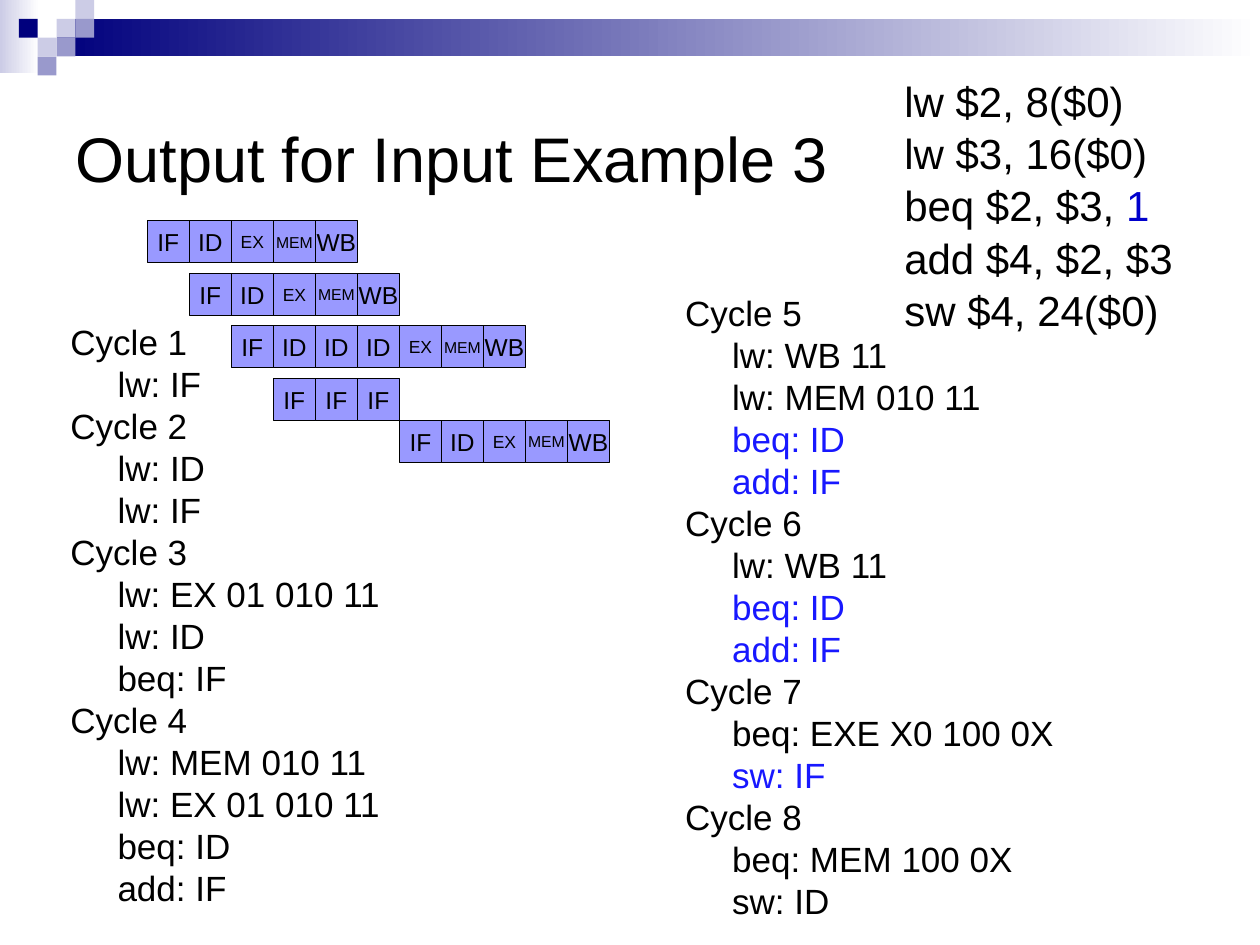
"""Build the slide showing pipeline output for input example 3."""
import pptx
import pptx.dml.color
import pptx.enum.shapes
import pptx.enum.text
import pptx.util

Cm, Pt = pptx.util.Cm, pptx.util.Pt
RGBColor = pptx.dml.color.RGBColor
PP_ALIGN = pptx.enum.text.PP_ALIGN
MSO_ANCHOR = pptx.enum.text.MSO_ANCHOR
RECTANGLE = pptx.enum.shapes.MSO_SHAPE.RECTANGLE

BLACK = RGBColor(0x00, 0x00, 0x00)
WHITE = RGBColor(0xFF, 0xFF, 0xFF)
NAVY = RGBColor(0x00, 0x00, 0x7D)
LAVENDER = RGBColor(0xCC, 0xCC, 0xE6)
VIOLET = RGBColor(0x99, 0x99, 0xCC)
STAGE_FILL = RGBColor(0x99, 0x99, 0xFF)
BLUE = RGBColor(0x18, 0x18, 0xFF)
OFFSET_BLUE = RGBColor(0x00, 0x00, 0xCC)

TITLE = "Output for Input Example 3"
CODE = [
    [("lw $2, 8($0)", BLACK)],
    [("lw $3, 16($0)", BLACK)],
    [("beq $2, $3, ", BLACK), ("1", OFFSET_BLUE)],
    [("add $4, $2, $3", BLACK)],
    [("sw $4, 24($0)", BLACK)],
]
LEFT_CYCLES = [
    ("Cycle 1", [("lw: IF", BLACK)]),
    ("Cycle 2", [("lw: ID", BLACK), ("lw: IF", BLACK)]),
    ("Cycle 3", [("lw: EX 01 010 11", BLACK), ("lw: ID", BLACK), ("beq: IF", BLACK)]),
    ("Cycle 4", [("lw: MEM 010 11", BLACK), ("lw: EX 01 010 11", BLACK),
                 ("beq: ID", BLACK), ("add: IF", BLACK)]),
]
RIGHT_CYCLES = [
    ("Cycle 5", [("lw: WB 11", BLACK), ("lw: MEM 010 11", BLACK),
                 ("beq: ID", BLUE), ("add: IF", BLUE)]),
    ("Cycle 6", [("lw: WB 11", BLACK), ("beq: ID", BLUE), ("add: IF", BLUE)]),
    ("Cycle 7", [("beq: EXE X0 100 0X", BLACK), ("sw: IF", BLUE)]),
    ("Cycle 8", [("beq: MEM 100 0X", BLACK), ("sw: ID", BLACK)]),
]
PIPELINE = [
    (0, 0, "IF ID EX MEM WB"),
    (1, 1.25, "IF ID EX MEM WB"),
    (2, 2.5, "IF ID ID ID EX MEM WB"),
    (3, 3.75, "IF IF IF"),
    (6, 4.75, "IF ID EX MEM WB"),
]
STAGE_SIZES = {"EX": 10, "MEM": 9}
STAGE_LEFT, STAGE_TOP, STAGE = 2.97, 4.45, 0.847
BANDS = [(0, 0, 0.79, 1.47, LAVENDER), (1.14, 0.38, 24.26, 0.76, NAVY)]
TILE = 0.38
TILES = [(3, 1, LAVENDER), (4, 0, LAVENDER), (4, 1, VIOLET), (2, 2, LAVENDER),
         (1, 1, NAVY), (3, 2, VIOLET), (2, 3, VIOLET)]


def add_run(p, text, size, color=BLACK):
    r = p.add_run()
    r.text = text
    r.font.name = "Arial"
    r.font.size = Pt(size)
    r.font.color.rgb = color


def add_rect(s, left, top, width, height):
    sp = s.shapes.add_shape(RECTANGLE, Cm(left), Cm(top), Cm(width), Cm(height))
    sp.shadow.inherit = False
    sp.line.fill.background()
    return sp


def add_text_box(s, left, top, width, height):
    tf = s.shapes.add_textbox(Cm(left), Cm(top), Cm(width), Cm(height)).text_frame
    tf.word_wrap = True
    return tf


def next_paragraph(tf):
    return tf.add_paragraph() if tf.paragraphs[0].runs else tf.paragraphs[0]


def add_cycles(s, cycles, left, top, height):
    tf = add_text_box(s, left, top, 11.23, height)
    for name, steps in cycles:
        for text, color in [(name, BLACK)] + steps:
            p = next_paragraph(tf)
            p.line_spacing = 0.8
            if p is not tf.paragraphs[0] and tf.paragraphs[0].runs:
                p.space_before = Pt(4.8)
            if text != name:
                p._p.get_or_add_pPr().set("marL", str(Cm(0.95)))
            add_run(p, text, 20, color)


def add_decoration(s):
    for left, top, width, height, color in BANDS:
        fill = add_rect(s, left, top, width, height).fill
        fill.gradient()
        fill.gradient_angle = 0
        for stop, stop_color in zip(fill.gradient_stops, (color, WHITE)):
            stop.color.rgb = stop_color
    for col, row, color in TILES:
        sp = add_rect(s, col * TILE, row * TILE, TILE, TILE)
        sp.fill.solid()
        sp.fill.fore_color.rgb = color


def add_stage(s, col, row, name):
    sp = add_rect(s, STAGE_LEFT + col * STAGE, STAGE_TOP + row * STAGE, STAGE, STAGE)
    sp.fill.solid()
    sp.fill.fore_color.rgb = STAGE_FILL
    sp.line.color.rgb = BLACK
    sp.line.width = Pt(0.75)
    tf = sp.text_frame
    tf.word_wrap = False
    tf.vertical_anchor = MSO_ANCHOR.MIDDLE
    p = tf.paragraphs[0]
    p.alignment = PP_ALIGN.CENTER
    add_run(p, name, STAGE_SIZES.get(name, 14))


def main():
    prs = pptx.Presentation()
    prs.slide_width, prs.slide_height = Cm(25.4), Cm(19.05)
    s = prs.slides.add_slide(prs.slide_layouts[5])
    add_decoration(s)

    title = s.shapes.title
    title.left, title.top, title.width, title.height = Cm(1.27), Cm(1.27), Cm(22.86), Cm(3.81)
    title.text_frame.vertical_anchor = MSO_ANCHOR.MIDDLE
    p = title.text_frame.paragraphs[0]
    p.alignment = PP_ALIGN.LEFT
    add_run(p, TITLE, 36)

    add_cycles(s, LEFT_CYCLES, 1.17, 6.5, 12.5)
    add_cycles(s, RIGHT_CYCLES, 13.56, 5.92, 10.8)

    tf = add_text_box(s, 17.98, 1.35, 7.62, 7.95)
    for line in CODE:
        p = next_paragraph(tf)
        p.line_spacing = 1.04
        for text, color in line:
            add_run(p, text, 24, color)

    for first, row, stages in PIPELINE:
        for col, name in enumerate(stages.split(), first):
            add_stage(s, col, row, name)

    prs.save("out.pptx")


if __name__ == "__main__":
    main()
